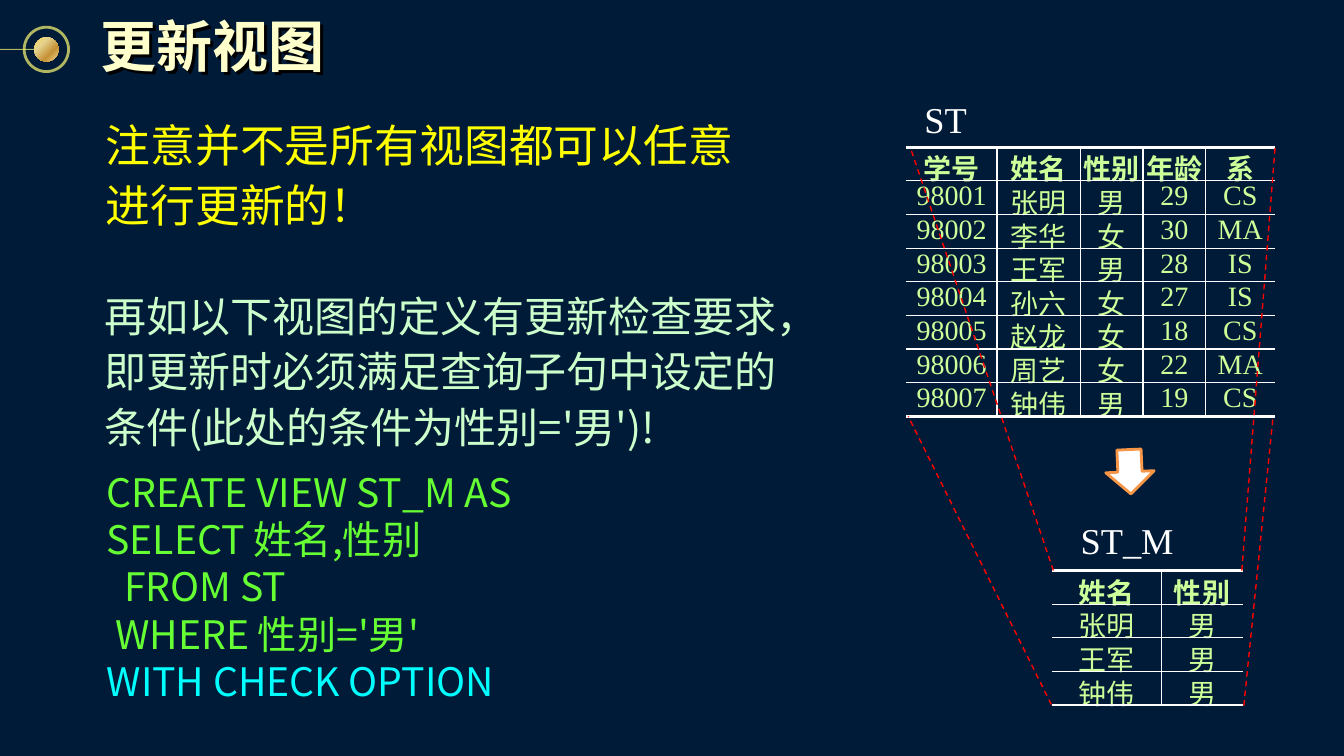
from lxml.etree import SubElement
from pptx import Presentation
from pptx.dml.color import RGBColor
from pptx.enum.dml import MSO_LINE
from pptx.enum.shapes import MSO_CONNECTOR, MSO_SHAPE
from pptx.enum.text import MSO_ANCHOR, MSO_AUTO_SIZE, PP_ALIGN
from pptx.oxml import parse_xml
from pptx.oxml.ns import nsdecls, qn
from pptx.util import Inches, Pt

COLORS = {
    "navy": "001B37", "cream": "FFFFCC", "yellow": "FFFF00", "mint": "CCFFCC",
    "green": "66FF33", "cyan": "00FFFF", "lime": "CCFF99", "white": "FFFFFF",
    "red": "FF0000", "orange": "F79646", "gold": "FCF873", "black": "000000",
}
GOLD_STOPS = [(0, "FCD860"), (31, "E6D38F"), (68, "C69135"), (100, "F1DF97")]
CJK, LATIN, SERIF = "Noto Sans CJK SC", "Arial", "Times New Roman"
COLUMNS, ROWS = 40, 22.5

STUDENTS = [
    ("学号", "姓名", "性别", "年龄", "系"),
    ("98001", "张明", "男", "29", "CS"),
    ("98002", "李华", "女", "30", "MA"),
    ("98003", "王军", "男", "28", "IS"),
    ("98004", "孙六", "女", "27", "IS"),
    ("98005", "赵龙", "女", "18", "CS"),
    ("98006", "周艺", "女", "22", "MA"),
    ("98007", "钟伟", "男", "19", "CS"),
]
MALE_VIEW = [STUDENTS[0][1:3]] + [s[1:3] for s in STUDENTS if s[2] == "男"]
VIEW_SQL = ["CREATE VIEW ST_M AS", "SELECT 姓名,性别", "  FROM ST",
            " WHERE 性别='男'", "WITH CHECK OPTION"]


def rgb(name):
    return RGBColor.from_string(COLORS[name])


class SlideBuilder:
    """Draws on one slide; lengths are columns and rows of a 40 x 22.5 grid."""

    def __init__(self, prs):
        self.s = prs.slides.add_slide(prs.slide_layouts[6])
        self.s.background.fill.solid()
        self.s.background.fill.fore_color.rgb = rgb("navy")
        self.col = prs.slide_width / COLUMNS
        self.row = prs.slide_height / ROWS

    def place(self, *grid):
        """Turn alternating columns and rows into slide lengths."""
        return [round(v * (self.row if i % 2 else self.col))
                for i, v in enumerate(grid)]

    def style_run(self, r, size, font, color, bold=False):
        r.font.size, r.font.bold = Pt(size), bold
        r.font.color.rgb = rgb(color)
        r.font.name = font
        latin = r._r.get_or_add_rPr().find(qn("a:latin"))
        latin.addnext(parse_xml(f'<a:ea {nsdecls("a")} typeface="{CJK}"/>'))

    def text(self, box, lines, size, font, color, last_color=None, spacing=None,
             inset=None, wrap=True, indent=0, anchor=MSO_ANCHOR.TOP,
             bold=False, shadow=False):
        sp = self.s.shapes.add_textbox(*self.place(*box))
        tf = sp.text_frame
        tf.word_wrap, tf.vertical_anchor = wrap, anchor
        if not wrap:
            tf.auto_size = MSO_AUTO_SIZE.SHAPE_TO_FIT_TEXT
        if inset is not None:
            tf.margin_left = tf.margin_right = Inches(inset)
            tf.margin_top = tf.margin_bottom = Inches(inset)
        tf.text = "\n".join(lines)
        for p in tf.paragraphs:
            if spacing:
                p.line_spacing = spacing
            if indent:
                pPr = p._p.get_or_add_pPr()
                pPr.set("marL", str(Inches(indent)))
                pPr.set("indent", str(-Inches(indent)))
            self.style_run(p.runs[0], size, font, color, bold)
        if last_color:
            p.runs[0].font.color.rgb = rgb(last_color)
        if shadow:
            sp._element.spPr.append(parse_xml(
                f'<a:effectLst {nsdecls("a")}><a:outerShdw dist="38100" '
                f'dir="2700000"><a:srgbClr val="{COLORS["black"]}"/>'
                '</a:outerShdw></a:effectLst>'))

    def shape(self, kind, box, rotation, fill=None, stops=None,
              line=None, alpha=100):
        sp = self.s.shapes.add_shape(kind, *self.place(*box))
        sp.shadow.inherit = False
        sp.rotation = rotation
        sp.fill.background()
        if fill:
            sp.fill.solid()
            sp.fill.fore_color.rgb = rgb(fill)
        if stops:
            gs = "".join(f'<a:gs pos="{pos * 1000}"><a:srgbClr val="{c}"/></a:gs>'
                         for pos, c in stops)
            spPr = sp._element.spPr
            spPr.replace(spPr.find(qn("a:noFill")), parse_xml(
                f'<a:gradFill {nsdecls("a")} rotWithShape="1"><a:gsLst>{gs}'
                '</a:gsLst><a:lin ang="8100000" scaled="0"/></a:gradFill>'))
        if line:
            self.stroke(sp.line, line, 2, alpha)
        else:
            sp.line.fill.background()

    def stroke(self, line, color, width, alpha=100):
        line.color.rgb = rgb(color)
        line.width = Pt(width)
        if alpha < 100:
            clr = line._ln.find(".//" + qn("a:srgbClr"))
            SubElement(clr, qn("a:alpha"), val=str(alpha * 1000))

    def line(self, ends, color, width, dash=None, alpha=100):
        c = self.s.shapes.add_connector(MSO_CONNECTOR.STRAIGHT, *self.place(*ends))
        self.stroke(c.line, color, width, alpha)
        if dash:
            c.line.dash_style = dash
        SubElement(c._element.spPr, qn("a:effectLst"))

    def table(self, left, top, widths, rows):
        """Table one grid row per line, open at both sides, heavy top and bottom."""
        box = self.place(left, top, sum(widths), len(rows))
        t = self.s.shapes.add_table(len(rows), len(widths), *box).table
        t.first_row = t.horz_banding = False
        for column, width in zip(t.columns, widths):
            column.width = round(width * self.col)
        for i, values in enumerate(rows):
            t.rows[i].height = round(self.row)
            for j, value in enumerate(values):
                cell = t.cell(i, j)
                cell.margin_left = cell.margin_right = 0
                cell.margin_top = cell.margin_bottom = 0
                cell.text = value
                p = cell.text_frame.paragraphs[0]
                p.alignment = PP_ALIGN.CENTER
                self.style_run(p.runs[0], 20, SERIF, "lime", bold=i == 0)
                self.borders(cell, L=1 if j else 0,
                             R=1 if j < len(widths) - 1 else 0,
                             T=1 if i else 2.25,
                             B=1 if i < len(rows) - 1 else 2.25)

    def borders(self, cell, **widths):
        cell.fill.background()
        tcPr = cell._tc.get_or_add_tcPr()
        for k, (side, width) in enumerate(widths.items()):
            paint = (f'<a:solidFill><a:srgbClr val="{COLORS["white"]}"/></a:solidFill>'
                     if width else "<a:noFill/>")
            tcPr.insert(k, parse_xml(
                f'<a:ln{side} {nsdecls("a")} w="{Pt(width)}">{paint}</a:ln{side}>'))


def main():
    prs = Presentation()
    prs.slide_width, prs.slide_height = Inches(40 / 3), Inches(7.5)
    b = SlideBuilder(prs)

    b.shape(MSO_SHAPE.OVAL, (0.72, 0.81, 1.32, 1.32), 270, line="gold", alpha=70)
    b.line((0, 1.47, 1.02, 1.47), "gold", 0.75, alpha=70)
    b.shape(MSO_SHAPE.OVAL, (1.02, 1.11, 0.72, 0.72), 270, stops=GOLD_STOPS)
    b.text((2.76, 0.09, 7.2, 2.49), ["更新视图"], 40, CJK, "cream", inset=0.08,
           wrap=False, anchor=MSO_ANCHOR.MIDDLE, bold=True, shadow=True)

    b.text((2.85, 3.21, 19.83, 8.04), ["注意并不是所有视图都可以任意进行更新的！"],
           32, LATIN, "yellow", spacing=1.1)
    b.text((2.82, 8.34, 20.97, 3.54),
           ["再如以下视图的定义有更新检查要求，即更新时必须满足查询子句中设定的"
            "条件(此处的条件为性别='男')!"], 30, CJK, "mint", spacing=1.1)
    b.text((2.88, 13.8, 16.29, 2.25), VIEW_SQL, 28, CJK, "green",
           last_color="cyan", indent=0.39)

    b.text((27.51, 2.88, 1.32, 1.29), ["ST"], 26, SERIF, "white", inset=0, wrap=False)
    b.table(26.97, 4.38, (2.7, 2.49, 1.86, 1.86, 2.07), STUDENTS)
    b.text((32.16, 15.42, 2.79, 1.32), ["ST_M"], 26, SERIF, "white",
           inset=0, wrap=False)
    b.table(31.32, 16.98, (3.24, 2.43), MALE_VIEW)

    for ends in [(31.35, 16.98, 27.09, 4.38), (36.96, 16.98, 37.95, 4.38),
                 (31.29, 20.97, 27.03, 12.39), (37.02, 21, 37.89, 12.39)]:
        b.line(ends, "red", 1, dash=MSO_LINE.DASH)
    b.shape(MSO_SHAPE.LEFT_ARROW, (32.97, 13.32, 1.32, 1.44), 267.5,
            fill="white", line="orange")
    prs.save("out.pptx")


if __name__ == "__main__":
    main()
